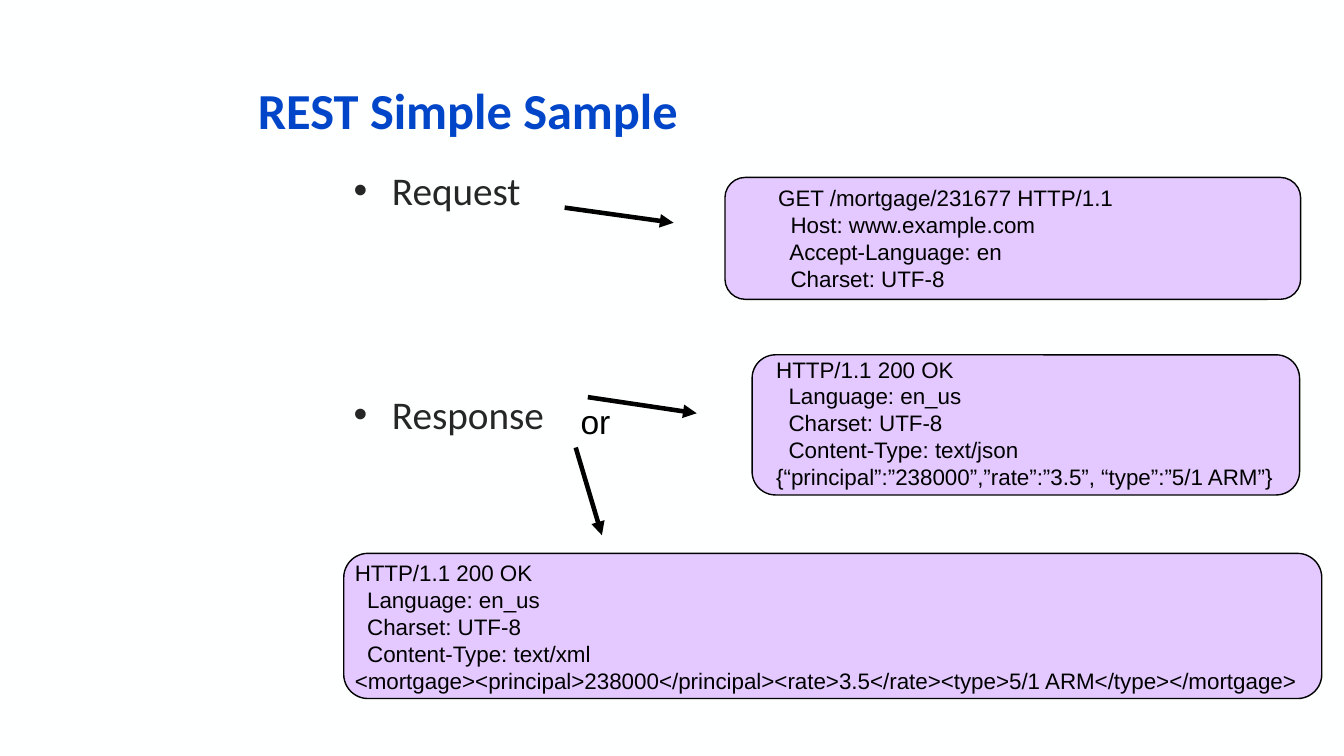
from lxml import etree
from pptx import Presentation
from pptx import util as u
from pptx.dml.color import RGBColor
from pptx.enum import shapes, text
from pptx.oxml.ns import qn

PX = 9144
COLORS = {
    "back": "FEFFFF",
    "title": "0146C9",
    "body": "262626",
    "code": "000000",
    "card": "CC99FF",
    "line": "000000",
}
FORMATS = {
    "title": {"name": "Calibri", "size": u.Pt(36), "bold": True},
    "body": {"name": "Calibri", "size": u.Pt(28)},
    "code": {"name": "Arial", "size": u.Pt(16)},
}
CARD_ALPHA = 52000
INDENT = 38
CODE_INDENT = 50

RESPONSE_HEAD = ["HTTP/1.1 200 OK", "  Language: en_us", "  Charset: UTF-8"]
CARDS = [
    ((746, 352, 543, 139), (-36, -4, 601, 184), RESPONSE_HEAD + [
        "  Content-Type: text/json",
        "{“principal”:”238000”,”rate”:”3.5”, “type”:”5/1 ARM”}",
    ]),
    ((341, 549, 970, 144), (-49, 1, 1028, 169), RESPONSE_HEAD + [
        "  Content-Type: text/xml",
        "<mortgage><principal>238000</principal><rate>3.5</rate>"
        "<type>5/1 ARM</type></mortgage>",
    ]),
    ((719, 176, 571, 121), (-7, 2, 448, 157), [
        "GET /mortgage/231677 HTTP/1.1",
        "  Host: www.example.com",
        "  Accept-Language: en",
        "  Charset: UTF-8",
    ]),
]
ARROWS = [(560, 206, 668, 221), (583, 394, 691, 410), (571, 444, 597, 531)]


def px(*lengths):
    return [u.Emu(length * PX) for length in lengths]


def color(name):
    return RGBColor.from_string(COLORS[name])


def style(para, kind, **extra):
    for key, value in {**FORMATS[kind], **extra}.items():
        setattr(para.font, key, value)
    para.font.color.rgb = color(kind)


def text_frame(page, box, anchor=text.MSO_ANCHOR.TOP):
    frame = page.shapes.add_textbox(*px(*box)).text_frame
    frame.word_wrap = True
    frame.vertical_anchor = anchor
    return frame


def add_title(page, box, words):
    para = text_frame(page, box, text.MSO_ANCHOR.MIDDLE).paragraphs[0]
    para.text = words
    para.line_spacing = 0.9
    style(para, "title")


def add_steps(page, box, steps, gap):
    frame = text_frame(page, box)
    for index, step in enumerate(steps):
        para = frame.add_paragraph() if index else frame.paragraphs[0]
        para.text = step
        props = para._p.get_or_add_pPr()
        props.set("marL", str(INDENT * PX))
        props.set("indent", str(-INDENT * PX))
        etree.SubElement(props, qn("a:buFont"), typeface="Arial")
        etree.SubElement(props, qn("a:buChar"), char="•")
        para.line_spacing = 0.9
        if index:
            para.space_before = u.Pt(gap)
        style(para, "body")


def add_card(page, box, code_box, lines):
    card = page.shapes.add_shape(shapes.MSO_SHAPE.ROUNDED_RECTANGLE, *px(*box))
    card.shadow.inherit = False
    card.fill.solid()
    card.fill.fore_color.rgb = color("card")
    tint = card._element.spPr.find(qn("a:solidFill"))[0]
    etree.SubElement(tint, qn("a:alpha"), val=str(CARD_ALPHA))
    card.line.color.rgb = color("line")
    card.line.width = u.Pt(1)

    left, top, width, height = code_box
    frame = text_frame(page, (box[0] + left, box[1] + top, width, height))
    for index, line in enumerate(lines):
        para = frame.add_paragraph() if index else frame.paragraphs[0]
        para.text = line
        para.level = 1
        para._p.get_or_add_pPr().set("marL", str(CODE_INDENT * PX))
        style(para, "code")


def add_arrow(page, ends):
    arrow = page.shapes.add_connector(shapes.MSO_CONNECTOR.STRAIGHT, *px(*ends))
    arrow.line.color.rgb = color("line")
    arrow.line.width = u.Pt(3.25)
    etree.SubElement(arrow.line._get_or_add_ln(), qn("a:tailEnd"), type="triangle")
    etree.SubElement(arrow._element.spPr, qn("a:effectLst"))


def add_choice(page, box, word):
    para = text_frame(page, box).paragraphs[0]
    para.text = word
    style(para, "code", size=u.Pt(24))


def build_sample(page):
    page.background.fill.solid()
    page.background.fill.fore_color.rgb = color("back")
    add_title(page, (246, 40, 1050, 145), "REST Simple Sample")
    add_steps(page, (341, 165, 850, 384), ["Request", "Response"], 130)
    for box, code_box, lines in CARDS:
        add_card(page, box, code_box, lines)
    for ends in ARROWS:
        add_arrow(page, ends)
    add_choice(page, (566, 393, 96, 50), "or")


def main():
    deck = Presentation()
    deck.slide_width, deck.slide_height = px(1333, 750)
    build_sample(deck.slides.add_slide(deck.slide_layouts[6]))
    deck.save("out.pptx")


if __name__ == "__main__":
    main()
